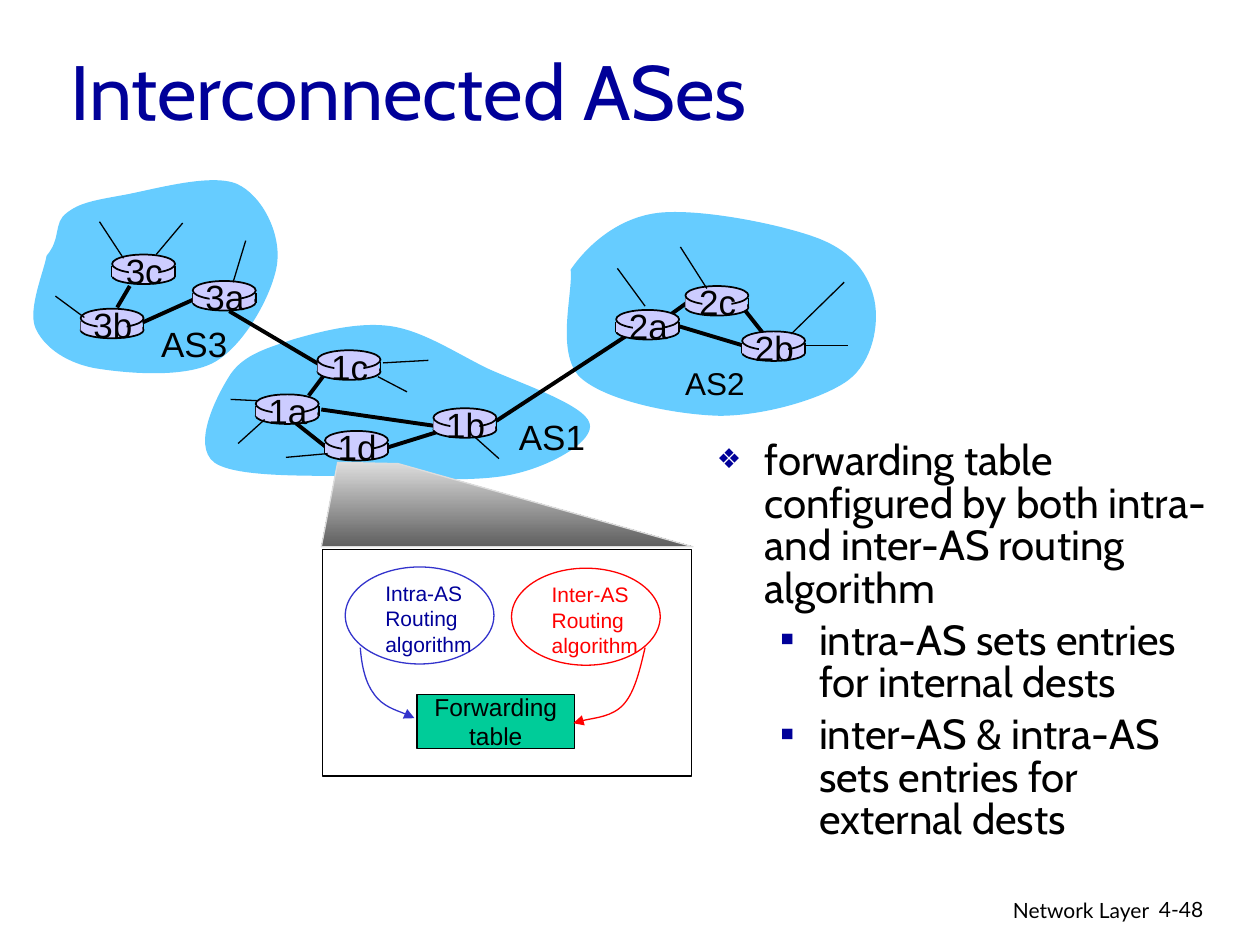
"""Build the slide on interconnected autonomous systems and the forwarding table."""
from dataclasses import dataclass

from lxml import etree
from pptx import Presentation
from pptx.dml.color import RGBColor
from pptx.enum.shapes import MSO_CONNECTOR, MSO_SHAPE
from pptx.enum.text import MSO_ANCHOR, MSO_AUTO_SIZE, PP_ALIGN
from pptx.oxml.ns import qn
from pptx.util import Emu, Inches, Pt

STRAIGHT = MSO_CONNECTOR.STRAIGHT
RECTANGLE, OVAL = MSO_SHAPE.RECTANGLE, MSO_SHAPE.OVAL
LEFT, CENTER, RIGHT = PP_ALIGN.LEFT, PP_ALIGN.CENTER, PP_ALIGN.RIGHT
MIDDLE, TOP = MSO_ANCHOR.MIDDLE, MSO_ANCHOR.TOP
NO_FIT = MSO_AUTO_SIZE.NONE
CELL = Inches(0.1)
COLUMNS, ROWS = 100, 75
BLACK, NAVY, BLUE, RED = "000000", "000099", "3333CC", "FF0000"
SKY, LILAC, GREEN, PALE, GRAY = "66CCFF", "CCCCFF", "00CC99", "DDDDDD", "5F5F5F"


@dataclass
class Router:
    """A router, placed by the corner of its top disc."""
    name: str
    col: float
    row: float


@dataclass
class Label:
    """Text in one font, with the grid place of its box."""
    text: str
    place: tuple
    size: float
    color: str = BLACK
    font: str = "Arial"
    align: PP_ALIGN = LEFT
    wrap: bool = False


@dataclass
class Algorithm:
    """A routing algorithm and its arrow to the forwarding table."""
    text: str
    col: float
    row: float
    line: str
    color: str
    arrow: list


@dataclass
class Bullet:
    """A list entry with its indent and mark."""
    text: str
    level: int
    margin: float
    hanging: float
    mark: str
    percent: int


CLOUDS = [
    [(45.3, 21.4), (46.6, 19.5), (49, 17.3), (52.2, 16.9), (55.5, 16.5), (62, 17.8), (64.9, 18.9),
     (67.8, 20), (69, 21.9), (69.4, 23.8), (69.8, 25.7), (69.3, 28.7), (67.3, 30.2),
     (65.2, 31.7), (60.6, 33), (57.1, 33), (53.5, 32.9), (48, 31.8), (46, 29.9),
     (44.1, 27.9), (45.5, 23.2), (45.3, 21.4)],
    [(3.7, 20.3), (4.9, 18.9), (4.2, 17.7), (5.3, 16.9), (6.3, 16.1), (7.5, 15.9), (9.7, 15.5),
     (12, 15.1), (16.7, 13.7), (18.8, 14.6), (20.8, 15.5), (22.3, 18.5), (22, 20.9),
     (21.7, 23.2), (19.5, 27.3), (17.1, 28.7), (14.7, 30.1), (9.7, 29.6), (7.4, 29.2),
     (5, 28.7), (3.4, 27.4), (2.8, 26), (2.2, 24.5), (3.5, 21.5), (3.7, 20.3)],
    [(18.3, 29.7), (19.4, 28.1), (21.3, 27.6), (23.4, 26.9), (25.5, 26.3), (28.5, 25.5), (31.1, 25.9),
     (33.6, 26.3), (36, 27.9), (38.6, 29.2), (41.2, 30.4), (46.4, 32.1), (46.8, 33.6),
     (47.2, 35), (43.9, 36.9), (40.9, 37.6), (38, 38.3), (33.1, 38), (29.1, 37.8),
     (25.2, 37.7), (18.8, 38), (17, 36.7), (15.2, 35.3), (17.2, 31.4), (18.3, 29.7)],
]
ROUTERS = [
    Router("3c", 8.9, 20.2), Router("3b", 6.4, 24.5), Router("3a", 15.3, 22.3),
    Router("1c", 25.2, 27.8), Router("1a", 20.3, 31.3), Router("1b", 34.4, 32.4),
    Router("1d", 25.8, 34.2), Router("2a", 48.9, 24.6), Router("2c", 54.4, 22.7),
    Router("2b", 58.9, 26.3),
]
LINKS = [
    (53.9, 25.9, 58.9, 27.4), (59.1, 24.6, 60.6, 26.5), (52.9, 25.2, 54.7, 23.9),
    (30.8, 35.5, 35, 34.2), (23.5, 33.6, 25.9, 35.5), (25.5, 32.5, 34.5, 33.8),
    (24.5, 31.4, 25.7, 29.8), (11.3, 25.6, 15.3, 23.8), (18.2, 24.7, 25.3, 28.9),
    (39.4, 33.4, 49.8, 26.6), (10.3, 22.7, 9.3, 24.4),
]
STUBS = [
    (4.4, 23.5, 6.7, 25.2), (14.5, 17.7, 12.4, 20.2), (7.9, 17.6, 9.8, 20.5),
    (19.5, 19.1, 18.5, 22.4), (63.8, 27.4, 67.3, 27.4), (62.8, 26.5, 67, 22.4),
    (56.1, 22.9, 54, 19.6), (51.2, 24.3, 49, 21.3), (21, 33.3, 18.9, 35.2),
    (20.4, 31.8, 18.3, 31.7), (26, 36, 22.7, 36.3), (30.4, 28.8, 34, 28.6),
    (37.7, 34.7, 39.6, 36.4), (30, 29.9, 32.3, 31.1),
]
LABELS = [
    Label("AS3", (11.8, 25.1, 7.3, 4.3), 20),
    Label("AS1", (40.2, 32.5, 7.3, 4.3), 20),
    Label("AS2", (53.4, 28.4, 6.7, 4), 18),
    Label("Network Layer", (60.5, 70.7, 31.7, 3.1), 12, font="Lato", align=RIGHT, wrap=True),
    Label("4-48", (91, 70.7, 7.4, 3), 12, font="Lato", wrap=True),
]
BEAM = [(25.5, 43.4), (26.8, 36.7), (31.6, 36.8), (55, 43.4), (25.5, 43.4)]
ALGORITHMS = [
    Algorithm("Intra-AS\nRouting\nalgorithm", 27.4, 45, BLUE, NAVY,
              [(28.6, 51.4), (28.7, 52.8), (29, 54.2), (29.7, 55.1),
               (30.4, 56.1), (32.4, 56.7), (32.9, 57)]),
    Algorithm("Inter-AS\nRouting\nalgorithm", 40.6, 45.1, RED, RED,
              [(51.2, 51.4), (50.8, 53.1), (50.4, 54.9), (49.5, 55.9),
               (48.6, 56.9), (46.2, 57.1), (45.5, 57.4)]),
]
TITLE = Label("Interconnected ASes", (4.6, 2.5, 85, 9.2), 44, NAVY, "Cabin", wrap=True)
BULLETS = [
    Bullet("forwarding table configured by both intra- and inter-AS routing algorithm",
           0, 0.38, 0.38, "❖", 65),
    Bullet("intra-AS sets entries for internal dests", 1, 0.81, 0.31, "▪", 100),
    Bullet("inter-AS & intra-AS sets entries for external dests", 1, 0.81, 0.31, "▪", 100),
]


def grid(*cells: float) -> list:
    """Turn grid cells into lengths."""
    return [Emu(round(cell * CELL)) for cell in cells]


def rgb(color: str) -> RGBColor:
    """Turn a hex string into a colour."""
    return RGBColor.from_string(color)


def paint(shape, fill: str = "", line: str = "", width: float = 0.75) -> None:
    """Set fill and outline; an empty colour means none."""
    shape.shadow.inherit = False
    for part, color in ((shape.fill, fill), (shape.line.fill, line)):
        if color:
            part.solid()
            part.fore_color.rgb = rgb(color)
        else:
            part.background()
    if line:
        shape.line.width = Pt(width)


def write(box, label: Label, anchor=TOP) -> None:
    """Put a label's text in a shape and format it."""
    frame = box.text_frame
    frame.text = label.text
    frame.auto_size = NO_FIT
    frame.word_wrap = label.wrap
    frame.vertical_anchor = anchor
    for para in frame.paragraphs:
        para.alignment = label.align
        for span in para.runs:
            span.font.name, span.font.size = label.font, Pt(label.size)
            span.font.color.rgb = rgb(label.color)


def add_label(shapes, label: Label) -> None:
    """Add a text box."""
    write(shapes.add_textbox(*grid(*label.place)), label)


def add_line(shapes, ends: tuple, width: float) -> None:
    """Add a straight black line."""
    line = shapes.add_connector(STRAIGHT, *grid(*ends))
    line.line.color.rgb = rgb(BLACK)
    line.line.width = Pt(width)
    etree.SubElement(line.element.spPr, qn("a:effectLst"))


def add_preset(shapes, kind: MSO_SHAPE, place: tuple, fill: str = "", line: str = "", width: float = 0.75):
    """Add a painted preset shape."""
    shape = shapes.add_shape(kind, *grid(*place))
    paint(shape, fill, line, width)
    return shape


def add_outline(shapes, points: list, curved: bool, closed: bool):
    """Add a freeform; curved ones take points in threes as Bézier segments."""
    builder = shapes.build_freeform(*grid(*points[0]))
    builder.add_line_segments([grid(*point) for point in points[1:]], close=closed)
    shape = builder.convert_to_shape()
    segments = list(shape.element.iter(qn("a:lnTo"))) if curved else []
    for first, *others in zip(segments[::3], segments[1::3], segments[2::3]):
        first.tag = qn("a:cubicBezTo")
        for other in others:
            first.append(other[0])
            other.getparent().remove(other)
    return shape


def add_router(page, router: Router) -> None:
    """Draw a router as a grouped, labelled disc."""
    shapes = page.shapes.add_group_shape().shapes
    col, row = router.col, router.row
    add_preset(shapes, OVAL, (col, row + 1.05, 5, 1.3), LILAC, BLACK, 1)
    for side in (col, col + 5):
        add_line(shapes, (side, row + 0.95, side, row + 1.75), 1)
    add_preset(shapes, RECTANGLE, (col, row + 0.95, 4.9, 0.8), LILAC)
    add_preset(shapes, OVAL, (col, row, 5, 1.5), LILAC, BLACK, 1)
    add_preset(shapes, RECTANGLE, (col + 1.35, row + 0.2, 2.3, 1.9), LILAC)
    add_label(shapes, Label(router.name, (col, row - 0.9, 5.1, 4.3), 20, align=CENTER))


def add_algorithm(page, item: Algorithm) -> None:
    """Draw an algorithm's ellipse, text and curved arrow."""
    add_preset(page.shapes, OVAL, (item.col, item.row, 11.8, 7.7), line=item.line)
    add_label(page.shapes, Label(item.text, (item.col + 2.2, item.row + 0.6, 8.8, 7), 12, item.color))
    arrow = add_outline(page.shapes, item.arrow, True, False)
    paint(arrow, line=item.line)
    etree.SubElement(arrow.element.spPr.find(qn("a:ln")), qn("a:tailEnd"), type="triangle")


def move(box, place: tuple) -> None:
    """Move a placeholder to a grid place."""
    box.left, box.top, box.width, box.height = grid(*place)


def fill_list(box) -> None:
    """Fill the body placeholder with the bullets."""
    move(box, (55.9, 34.5, 41.7, 37.2))
    text = "\n".join(bullet.text for bullet in BULLETS)
    write(box, Label(text, (), 24, font="Cabin", wrap=True))
    for para, bullet in zip(box.text_frame.paragraphs, BULLETS):
        para.level, para.line_spacing, para.space_before = bullet.level, 0.85, Pt(4.8)
        props = para._p.get_or_add_pPr()
        props.set("marL", str(Inches(bullet.margin)))
        props.set("indent", str(-Inches(bullet.hanging)))
        etree.SubElement(etree.SubElement(props, qn("a:buClr")), qn("a:srgbClr"), val=NAVY)
        etree.SubElement(props, qn("a:buSzPct"), val=str(bullet.percent * 1000))
        etree.SubElement(props, qn("a:buChar"), char=bullet.mark)


def add_beam(page) -> None:
    """Draw the shaded beam from router 1d to its detail box."""
    beam = add_outline(page.shapes, BEAM, False, True)
    paint(beam, line=PALE)
    beam.fill.gradient()
    beam.fill.gradient_angle = 270
    for stop, color, position in zip(beam.fill.gradient_stops, (PALE, GRAY), (0, 1)):
        stop.color.rgb, stop.position = rgb(color), position


def main() -> None:
    """Build and save the deck."""
    deck = Presentation()
    deck.slide_width, deck.slide_height = grid(COLUMNS, ROWS)
    page = deck.slides.add_slide(deck.slide_layouts[1])
    move(page.shapes.title, TITLE.place)
    write(page.shapes.title, TITLE, MIDDLE)
    fill_list(page.placeholders[1])
    for cloud in CLOUDS:
        paint(add_outline(page.shapes, cloud, True, True), SKY)
    for link in LINKS:
        add_line(page.shapes, link, 2.25)
    for router in ROUTERS:
        add_router(page, router)
    for stub in STUBS:
        add_line(page.shapes, stub, 0.75)
    for label in LABELS:
        add_label(page.shapes, label)
    add_beam(page)
    add_preset(page.shapes, RECTANGLE, (25.6, 43.6, 29.3, 18), line=BLACK)
    table = add_preset(page.shapes, RECTANGLE, (33.1, 55.1, 12.5, 4.3), GREEN, BLACK)
    write(table, Label("Forwarding\ntable", (), 14, align=CENTER), MIDDLE)
    for item in ALGORITHMS:
        add_algorithm(page, item)
    deck.save("out.pptx")


if __name__ == "__main__":
    main()
